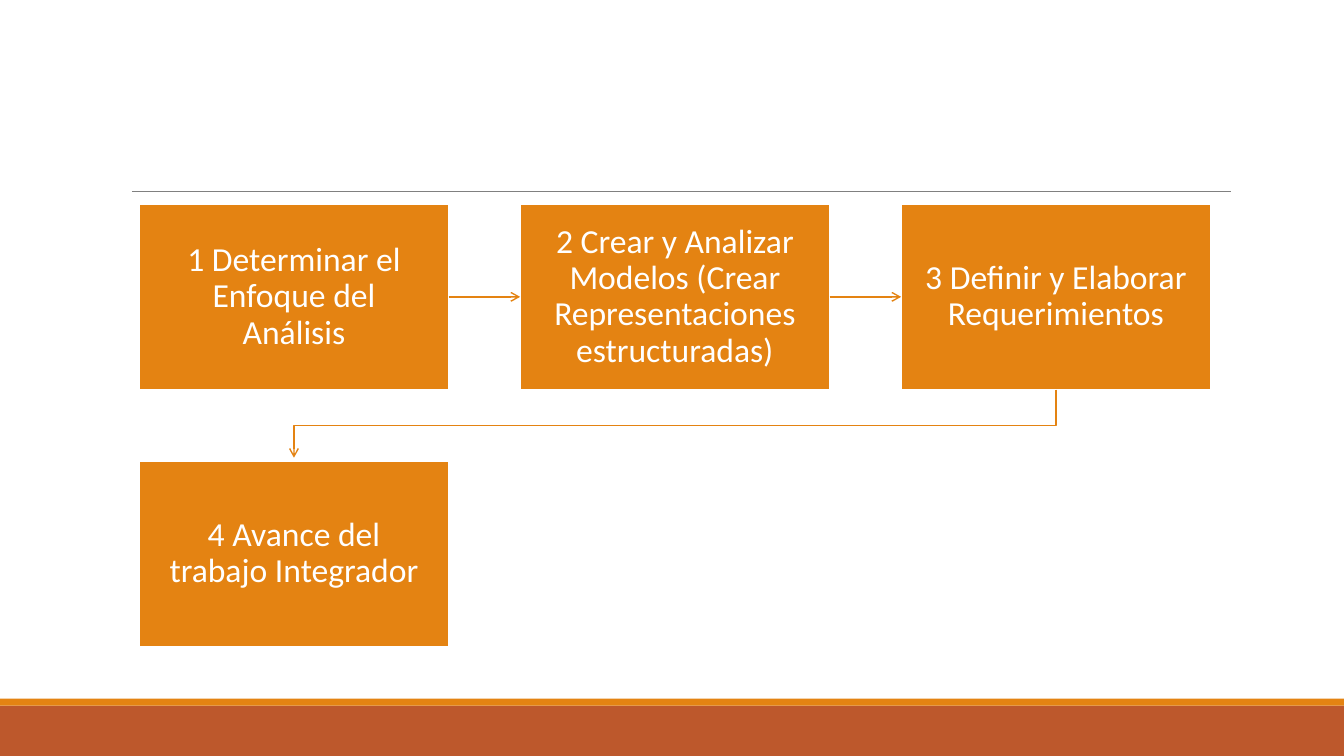
from lxml.etree import SubElement
from pptx import Presentation
from pptx.dml.color import RGBColor
from pptx.enum.shapes import MSO_CONNECTOR as Connector, MSO_SHAPE as Shape
from pptx.enum.text import MSO_ANCHOR as Anchor, PP_ALIGN as Align
from pptx.oxml.ns import qn
from pptx.util import Pt

ORANGE = RGBColor(0xE4, 0x83, 0x12)
RUST = RGBColor(0xBD, 0x58, 0x2C)
GRAY = RGBColor(0x80, 0x80, 0x80)
WHITE = RGBColor(0xFF, 0xFF, 0xFF)

PAGE_WIDTH, PAGE_HEIGHT = 960, 540
STEPS = [
    "1 Determinar el Enfoque del Análisis",
    "2 Crear y Analizar Modelos (Crear Representaciones estructuradas)",
    "3 Definir y Elaborar Requerimientos",
    "4 Avance del trabajo Integrador",
]


def write_text(shape, text, font="Calibri", size=24, color=WHITE, inset=13.6):
    """Write centred text into a shape."""
    frame = shape.text_frame
    frame.word_wrap = True
    frame.vertical_anchor = Anchor.MIDDLE
    frame.margin_left = frame.margin_right = Pt(inset)
    frame.margin_top = frame.margin_bottom = Pt(inset)
    para = frame.paragraphs[0]
    para.alignment = Align.CENTER
    para.line_spacing = 0.9
    para.space_after = Pt(size * 0.35)
    span = para.add_run()
    span.text = text
    span.font.name = font
    span.font.size = Pt(size)
    span.font.color.rgb = color


def add_box(page, left, top, width, height, fill):
    """Add a plain filled rectangle."""
    box = page.shapes.add_shape(
        Shape.RECTANGLE, Pt(left), Pt(top), Pt(width), Pt(height))
    box.shadow.inherit = False
    box.fill.solid()
    box.fill.fore_color.rgb = fill
    box.line.fill.background()
    return box


def style_line(shape, color, width, arrow=False):
    """Set the colour, width and arrowhead of a line."""
    shape.line.color.rgb = color
    shape.line.width = Pt(width)
    if arrow:
        outline = shape.element.spPr.find(qn("a:ln"))
        SubElement(outline, qn("a:tailEnd"), type="arrow")


def add_line(page, start, end, color, width, arrow=False):
    """Add a straight connector without a shadow."""
    line = page.shapes.add_connector(
        Connector.STRAIGHT, *(Pt(value) for value in (*start, *end)))
    style_line(line, color, width, arrow)
    SubElement(line.element.spPr, qn("a:effectLst"))
    return line


def add_frame(page, width, height):
    """Draw the footer bands and the title rule."""
    add_box(page, 0, height - 36, width, 36, RUST)
    add_box(page, 0, height - 41, width, 5, ORANGE)
    add_line(page, (94.3, 136.8), (width - 81, 136.8), GRAY, 0.5)


def add_return_arrow(page, start, end, bend):
    """Draw the angled arrow that leads to the next row."""
    corners = [(start[0], bend), (end[0], bend), end]
    builder = page.shapes.build_freeform(Pt(start[0]), Pt(start[1]), scale=1.0)
    builder.add_line_segments([(Pt(x), Pt(y)) for x, y in corners], close=False)
    arrow = builder.convert_to_shape()
    arrow.shadow.inherit = False
    arrow.fill.background()
    style_line(arrow, ORANGE, 1, arrow=True)


def add_process(page, left, top, width, height, columns=3, gap=51):
    """Lay out the steps row by row and join them with arrows."""
    box_width = (width - (columns - 1) * gap) / columns
    box_height = (height - gap) / 2
    previous = None
    for index, text in enumerate(STEPS):
        row, column = divmod(index, columns)
        x = left + column * (box_width + gap)
        y = top + row * (box_height + gap)
        box = add_box(page, x, y, box_width, box_height, ORANGE)
        style_line(box, WHITE, 1.25)
        write_text(box, text)
        if column:
            arrow = add_line(page, (x - gap, y), (x, y), ORANGE, 1, arrow=True)
            arrow.begin_connect(previous, 3)
            arrow.end_connect(box, 1)
        elif row:
            start = (left + width - box_width / 2, y - gap)
            end = (x + box_width / 2, y - 2.4)
            add_return_arrow(page, start, end, y - gap / 2)
        previous = box


def main():
    """Build and save the deck."""
    deck = Presentation()
    deck.slide_width, deck.slide_height = Pt(PAGE_WIDTH), Pt(PAGE_HEIGHT)
    page = deck.slides.add_slide(deck.slide_layouts[6])
    page.background.fill.solid()
    page.background.fill.fore_color.rgb = WHITE
    add_frame(page, PAGE_WIDTH, PAGE_HEIGHT)
    add_process(page, 99.4, 145.8, 765.4, 316)
    deck.save("out.pptx")


if __name__ == "__main__":
    main()
